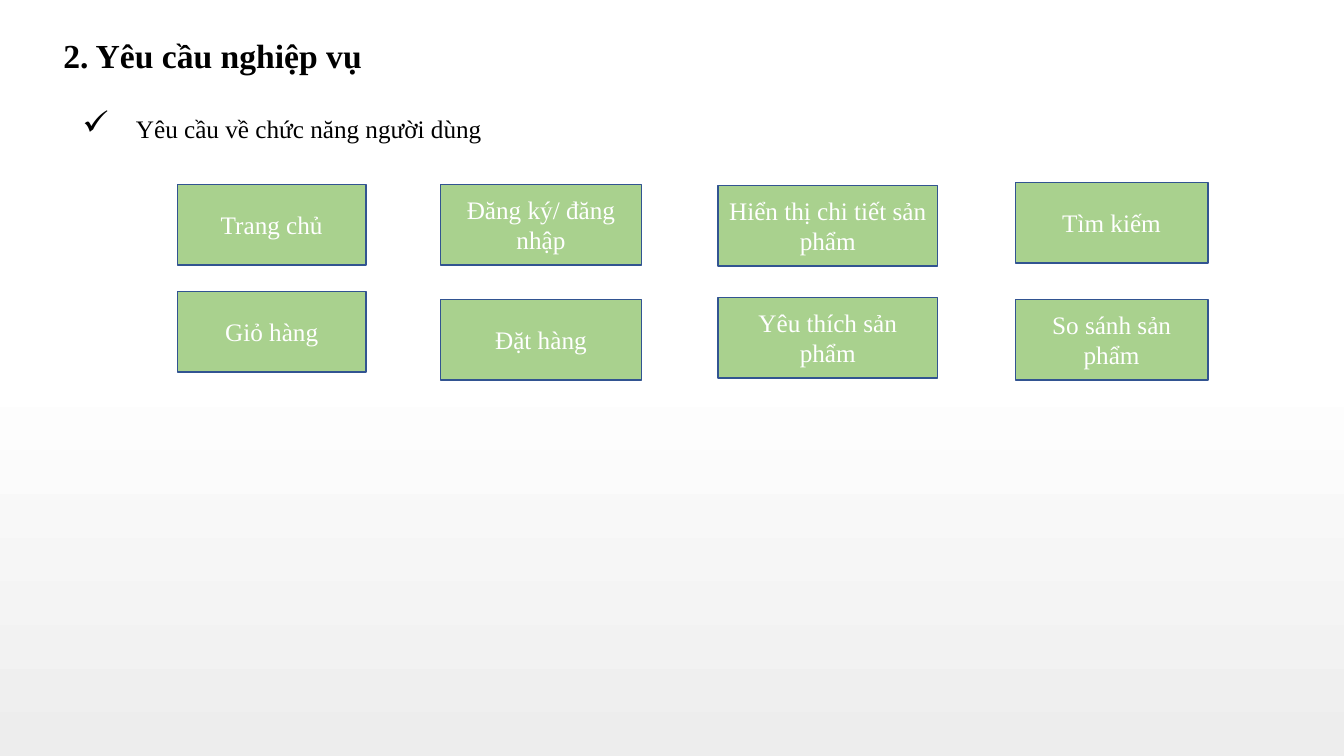
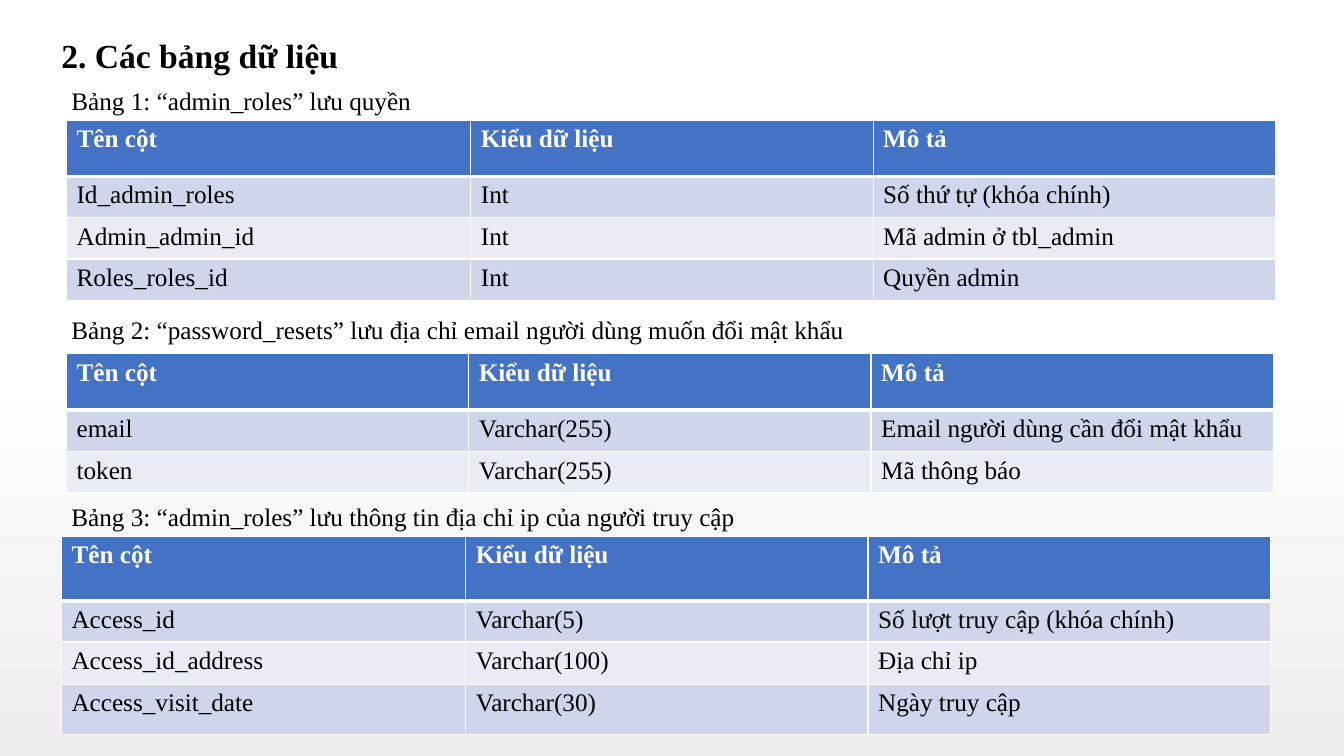
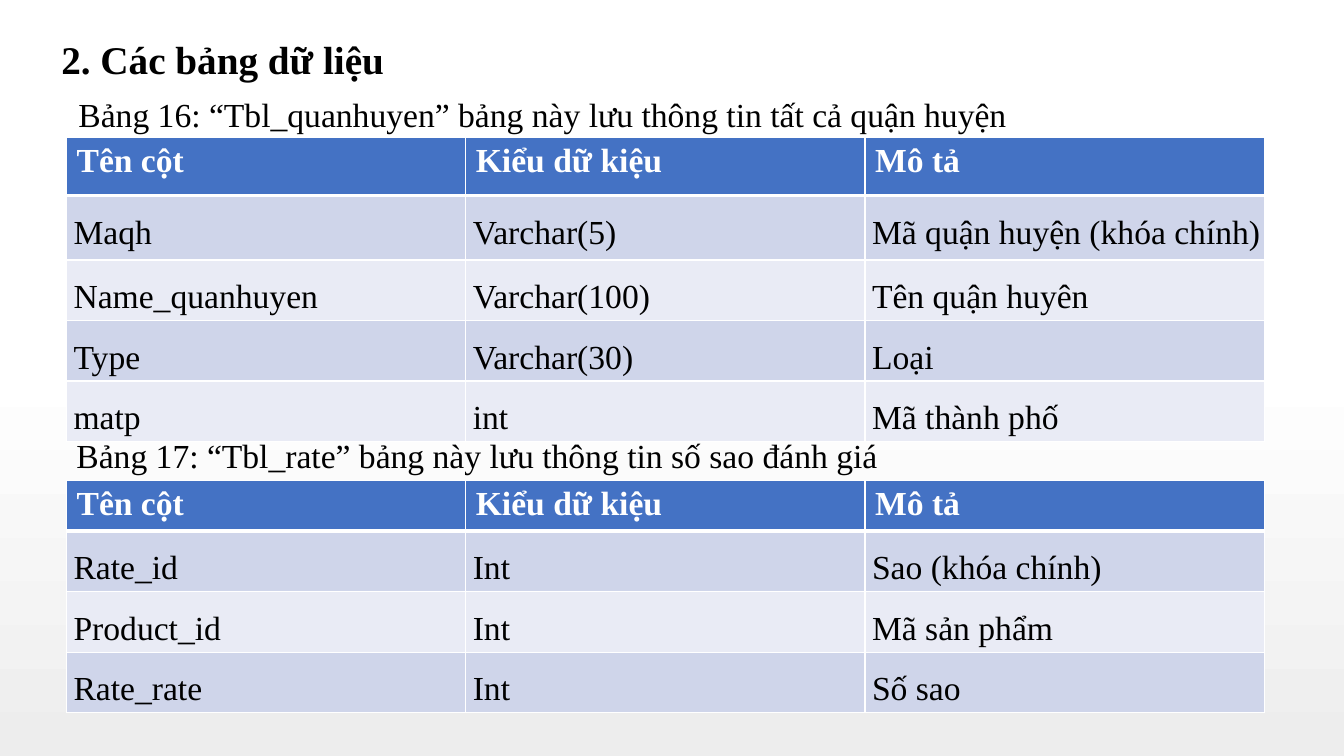
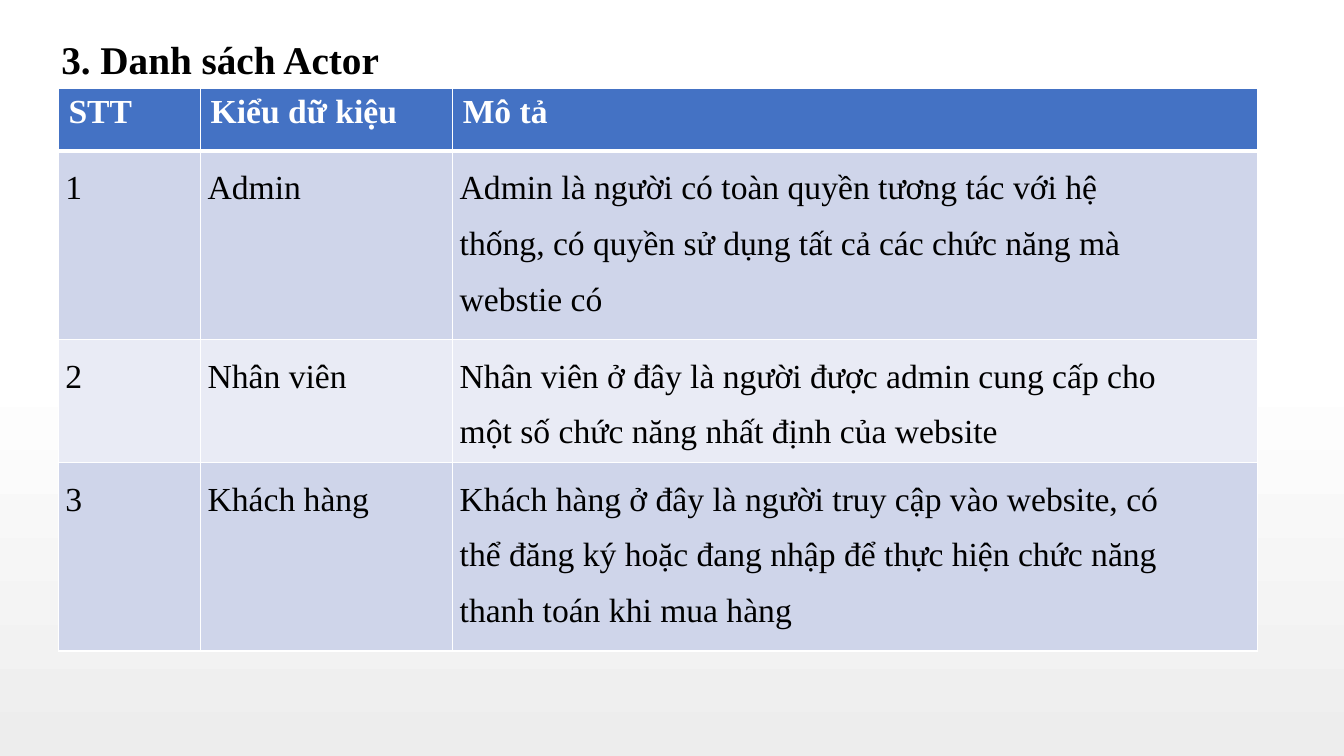
from lxml.etree import SubElement
from pptx import Presentation
from pptx.dml.color import RGBColor
from pptx.enum.shapes import MSO_SHAPE
from pptx.enum.text import MSO_ANCHOR, PP_ALIGN
from pptx.oxml.ns import qn
from pptx.util import Pt

PX = 9144  # EMU per px, 100 px to the inch
FONT = "Times New Roman"
BLACK = RGBColor(0x00, 0x00, 0x00)
WHITE = RGBColor(0xFF, 0xFF, 0xFF)
GRAY = RGBColor(0xED, 0xED, 0xED)
GREEN = RGBColor(0xA9, 0xD1, 0x8E)
NAVY = RGBColor(0x32, 0x54, 0x91)
BLUE = RGBColor(0x44, 0x72, 0xC4)
BANDS = [RGBColor(0xCF, 0xD5, 0xEA), RGBColor(0xE9, 0xEB, 0xF5)]
STOPS = [(17, WHITE), (32, WHITE), (48, WHITE), (100, GRAY)]

# Cell insets and line spacing of table bodies
SNUG = {"left": 10, "right": 10, "top": 5, "bottom": 5, "lead": 1}
OPEN = {"left": 7, "right": 0, "top": 0, "bottom": 0, "lead": 1.5}
WIDE = OPEN | {"right": 80}


def put(item, **vals):
    for name, val in vals.items():
        setattr(item, name, val)


class Deck:
    def __init__(self):
        self.prs = Presentation()
        put(self.prs, slide_width=1333 * PX, slide_height=750 * PX)
        self.slide = None
        self.paint()

    def paint(self):
        """Fade the background of every slide from white to gray."""
        master = self.prs.slide_master
        fill = master.background.fill
        fill.gradient()
        fill.gradient_angle = 270
        stops = master.element.find(".//" + qn("a:gsLst"))
        stops.clear()
        for pos, color in STOPS:
            stop = SubElement(stops, qn("a:gs"), pos=str(pos * 1000))
            SubElement(stop, qn("a:srgbClr"), val=str(color))

    def label(self, frame, text, size, color=BLACK, bold=False):
        frame.word_wrap = True
        para = frame.paragraphs[0]
        run = para.add_run()
        run.text = text
        put(run.font, name=FONT, size=Pt(size), bold=bold)
        run.font.color.rgb = color
        return para

    def text(self, x, y, w, h, text, size, bold=False):
        box = self.slide.shapes.add_textbox(x * PX, y * PX, w * PX, h * PX)
        return self.label(box.text_frame, text, size, bold=bold)

    def page(self, title, x=51, size=28):
        self.slide = self.prs.slides.add_slide(self.prs.slide_layouts[6])
        self.text(x, 30, 974, 2 * size, title, size, True)

    def check(self, x, y, w, h, text, size):
        props = self.text(x, y, w, h, text, size)._p.get_or_add_pPr()
        gap = 53 * PX
        props.set("marL", str(gap))
        props.set("indent", str(-gap))
        SubElement(props, qn("a:buSzPct"), val="133000")
        SubElement(props, qn("a:buChar"), char="✓")

    def card(self, x, y, w, text):
        box = self.slide.shapes.add_shape(
            MSO_SHAPE.RECTANGLE, x * PX, y * PX, w * PX, 80 * PX)
        box.shadow.inherit = False
        box.fill.solid()
        box.fill.fore_color.rgb = GREEN
        box.line.color.rgb = NAVY
        box.line.width = Pt(1)
        box.text_frame.vertical_anchor = MSO_ANCHOR.MIDDLE
        self.label(box.text_frame, text, 18, WHITE).alignment = PP_ALIGN.CENTER

    def edge(self, cell, top, bottom):
        """Draw white cell borders, ahead of the fill."""
        props = cell._tc.get_or_add_tcPr()
        sides = {"lnL": 1, "lnR": 1, "lnT": top, "lnB": bottom}
        for at, (side, width) in enumerate(sides.items()):
            line = SubElement(props, qn("a:" + side), w=str(Pt(width)))
            fill = SubElement(line, qn("a:solidFill"))
            SubElement(fill, qn("a:srgbClr"), val=str(WHITE))
            props.insert(at, line)

    def cell(self, cell, row, text, size, form):
        head = row == 0
        form = SNUG if head else form
        cell.fill.solid()
        cell.fill.fore_color.rgb = BLUE if head else BANDS[(row - 1) % 2]
        for side in ("left", "right", "top", "bottom"):
            setattr(cell, "margin_" + side, form[side] * PX)
        para = self.label(cell.text_frame, text, size,
                          WHITE if head else BLACK, head)
        para.line_spacing = form["lead"]
        self.edge(cell, 3 if row == 1 else 1, 3 if head else 1)

    def table(self, x, y, cols, rows, data, size=24, forms=(OPEN,) * 3):
        grid = self.slide.shapes.add_table(
            len(rows), len(cols), x * PX, y * PX,
            sum(cols) * PX, sum(rows) * PX).table
        for col, width in zip(grid.columns, cols):
            col.width = width * PX
        for r, (height, line) in enumerate(zip(rows, data)):
            grid.rows[r].height = height * PX
            for c, (text, form) in enumerate(zip(line, forms)):
                self.cell(grid.cell(r, c), r, text, size, form)


def main():
    deck = Deck()

    # User functions
    deck.page("2. Yêu cầu nghiệp vụ", 53, 24)
    deck.check(72, 108, 1190, 50, "Yêu cầu về chức năng người dùng", 18)
    cards = [
        (176, 187, (183, "Trang chủ"), (289, "Giỏ hàng")),
        (437, 199, (183, "Đăng ký/ đăng nhập"), (297, "Đặt hàng")),
        (712, 218, (184, "Hiển thị chi tiết sản phẩm"),
         (295, "Yêu thích sản phẩm")),
        (1007, 191, (181, "Tìm kiếm"), (297, "So sánh sản phẩm")),
    ]
    for x, w, *items in cards:
        for y, text in items:
            deck.card(x, y, w, text)

    # Tables 1 to 3
    deck.page("2. Các bảng dữ liệu", size=24)
    head = ("Tên cột", "Kiểu dữ liệu", "Mô tả")
    tables = [
        (80, "Bảng 1: “admin_roles” lưu quyền",
         66, 119, (401, 399, 399), (56, 41, 41, 41),
         [("Id_admin_roles", "Int", "Số thứ tự (khóa chính)"),
          ("Admin_admin_id", "Int", "Mã admin ở tbl_admin"),
          ("Roles_roles_id", "Int", "Quyền admin")]),
        (307, "Bảng 2: “password_resets” lưu địa chỉ email người dùng "
              "muốn đổi mật khẩu",
         66, 351, (399, 399, 399), (56, 41, 41),
         [("email", "Varchar(255)", "Email người dùng cần đổi mật khẩu"),
          ("token", "Varchar(255)", "Mã thông báo")]),
        (492, "Bảng 3: “admin_roles” lưu thông tin địa chỉ ip của người "
              "truy cập",
         61, 532, (401, 399, 399), (64, 41, 42, 50),
         [("Access_id", "Varchar(5)", "Số lượt truy cập (khóa chính)"),
          ("Access_id_address", "Varchar(100)", "Địa chỉ ip"),
          ("Access_visit_date", "Varchar(30)", "Ngày truy cập")]),
    ]
    for top, label, x, y, cols, rows, data in tables:
        deck.text(61, top, 1130, 40, label, 18)
        deck.table(x, y, cols, rows, [head] + data, 18, (SNUG,) * 3)

    # Tables 16 and 17
    deck.page("2. Các bảng dữ liệu")
    head = ("Tên cột", "Kiểu dữ kiệu", "Mô tả")
    tables = [
        (68, 88, "Bảng 16: “Tbl_quanhuyen” bảng này lưu thông tin tất cả "
                 "quận huyện",
         136, (58, 64, 60, 60, 60),
         [("Maqh", "Varchar(5)", "Mã quận huyện (khóa chính)"),
          ("Name_quanhuyen", "Varchar(100)", "Tên quận huyên"),
          ("Type", "Varchar(30)", "Loại"),
          ("matp", "int", "Mã thành phố")]),
        (66, 427, "Bảng 17: “Tbl_rate” bảng này lưu thông tin số sao "
                  "đánh giá",
         477, (50, 60, 60, 60),
         [("Rate_id", "Int", "Sao (khóa chính)"),
          ("Product_id", "Int", "Mã sản phẩm"),
          ("Rate_rate", "Int", "Số sao")]),
    ]
    for x, top, label, y, rows, data in tables:
        deck.text(x, top, 1197, 50, label, 24)
        deck.table(66, y, (396,) * 3, rows, [head] + data)

    # Actors
    deck.page("3. Danh sách Actor")
    deck.table(58, 88, (141, 250, 798), (62, 187, 122, 187), [
        ("STT", "Kiểu dữ kiệu", "Mô tả"),
        ("1", "Admin", "Admin là người có toàn quyền tương tác với hệ thống, "
                       "có quyền sử dụng tất cả các chức năng mà webstie có"),
        ("2", "Nhân viên", "Nhân viên ở đây là người được admin cung cấp cho "
                           "một số chức năng nhất định của website"),
        ("3", "Khách hàng", "Khách hàng ở đây là người truy cập vào website, "
                            "có thể đăng ký hoặc đang nhập để thực hiện chức "
                            "năng thanh toán khi mua hàng"),
    ], forms=(OPEN, OPEN, WIDE))

    deck.prs.save("out.pptx")


if __name__ == "__main__":
    main()
